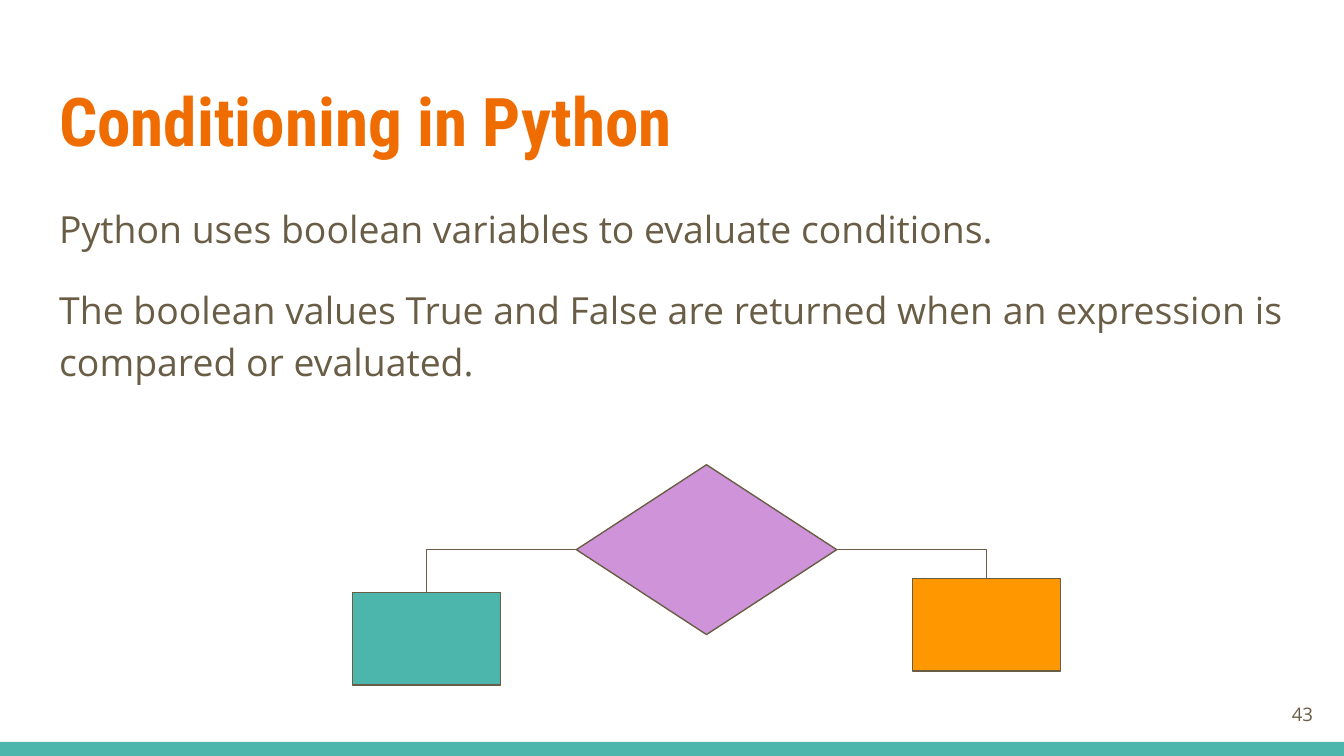
from dataclasses import dataclass

from lxml.etree import SubElement
from pptx import Presentation
from pptx.dml.color import RGBColor
from pptx.enum.shapes import MSO_CONNECTOR, MSO_SHAPE
from pptx.enum.text import MSO_ANCHOR, MSO_AUTO_SIZE, PP_ALIGN
from pptx.oxml.ns import qn
from pptx.util import Pt


@dataclass(frozen=True)
class Theme:
    brown: str = "695D46"
    orange: str = "EF6C00"
    amber: str = "FF9800"
    teal: str = "4DB6AC"
    purple: str = "CE93D8"
    head: str = "Roboto Condensed"
    text: str = "Open Sans"
    title: int = 36
    body: int = 20
    small: int = 10
    line: float = 0.75


THEME = Theme()
BODY = (
    "Python uses boolean variables to evaluate conditions.",
    "The boolean values True and False are returned when an expression is "
    "compared or evaluated.",
)


def color(code):
    return RGBColor.from_string(code)


def place(shape, left, top, width, height):
    shape.left, shape.top = Pt(left), Pt(top)
    shape.width, shape.height = Pt(width), Pt(height)


def set_frame(shape, anchor):
    frame = shape.text_frame
    frame.word_wrap = True
    frame.auto_size = MSO_AUTO_SIZE.NONE
    frame.vertical_anchor = anchor
    frame.margin_left = frame.margin_right = Pt(7.2)
    frame.margin_top = frame.margin_bottom = Pt(7.2)
    return frame


def add_run(para, text, size, face, code, bold=False):
    run = para.add_run()
    run.text = text
    font = run.font
    font.name, font.size, font.bold = face, Pt(size), bold
    font.color.rgb = color(code)


def add_title(slide, text):
    title = slide.shapes.title
    place(title, 24.5, 35.5, 671, 55)
    para = set_frame(title, MSO_ANCHOR.TOP).paragraphs[0]
    para.alignment = PP_ALIGN.LEFT
    para.line_spacing = 1.0
    para.space_before = Pt(0)
    add_run(para, text, THEME.title, THEME.head, THEME.orange, True)


def add_body(slide, lines):
    body = slide.placeholders[1]
    place(body, 24.5, 99.5, 671, 168)
    frame = set_frame(body, MSO_ANCHOR.TOP)
    for i, text in enumerate(lines):
        para = frame.add_paragraph() if i else frame.paragraphs[0]
        props = para._p.get_or_add_pPr()
        props.set("marL", "0")
        props.set("indent", "0")
        SubElement(props, qn("a:buNone"))
        para.line_spacing = 1.15
        para.space_before = Pt(16 if i else 0)
        para.space_after = Pt(16 if i else 0)
        add_run(para, text, THEME.body, THEME.text, THEME.brown)


def add_number(slide, text):
    box = slide.shapes.add_textbox(Pt(667.5), Pt(367), Pt(43), Pt(31))
    para = set_frame(box, MSO_ANCHOR.MIDDLE).paragraphs[0]
    para.alignment = PP_ALIGN.RIGHT
    add_run(para, text, THEME.small, THEME.text, THEME.brown)


def add_block(slide, kind, box, fill, edge=None):
    shape = slide.shapes.add_shape(kind, *map(Pt, box))
    shape.shadow.inherit = False
    shape.fill.solid()
    shape.fill.fore_color.rgb = color(fill)
    if edge:
        shape.line.color.rgb = color(edge)
        shape.line.width = Pt(THEME.line)
    else:
        shape.line.fill.background()
    return shape


def add_elbow(slide, start, side, end):
    """Join a side of start to the top of end with a single bend."""
    elbow = slide.shapes.add_connector(MSO_CONNECTOR.ELBOW, 0, 0, 0, 0)
    elbow.begin_connect(start, side)
    elbow.end_connect(end, 0)
    elbow.line.color.rgb = color(THEME.brown)
    elbow.line.width = Pt(THEME.line)
    props = elbow._element.spPr
    props.find(qn("a:prstGeom")).set("prst", "bentConnector2")
    SubElement(props, qn("a:effectLst"))


def add_flow(slide):
    mid, wide, reach = 378.5, 79.5, 150
    test = add_block(slide, MSO_SHAPE.FLOWCHART_DECISION,
                     (mid - 69.75, 249, 139.5, 91),
                     THEME.purple, THEME.brown)
    ends = ((-reach, 317.5, THEME.teal, 1), (reach, 310, THEME.amber, 3))
    for shift, top, fill, side in ends:
        box = (mid + shift - wide / 2, top, wide, 49.5)
        end = add_block(slide, MSO_SHAPE.RECTANGLE, box, fill, THEME.brown)
        add_elbow(slide, test, side, end)


def main():
    deck = Presentation()
    deck.slide_width, deck.slide_height = Pt(720), Pt(405)
    slide = deck.slides.add_slide(deck.slide_layouts[1])
    add_block(slide, MSO_SHAPE.RECTANGLE, (0, 397.5, 720, 7.5), THEME.teal)
    add_number(slide, "43")
    add_title(slide, "Conditioning in Python")
    add_body(slide, BODY)
    add_flow(slide)
    deck.save("out.pptx")


if __name__ == "__main__":
    main()
